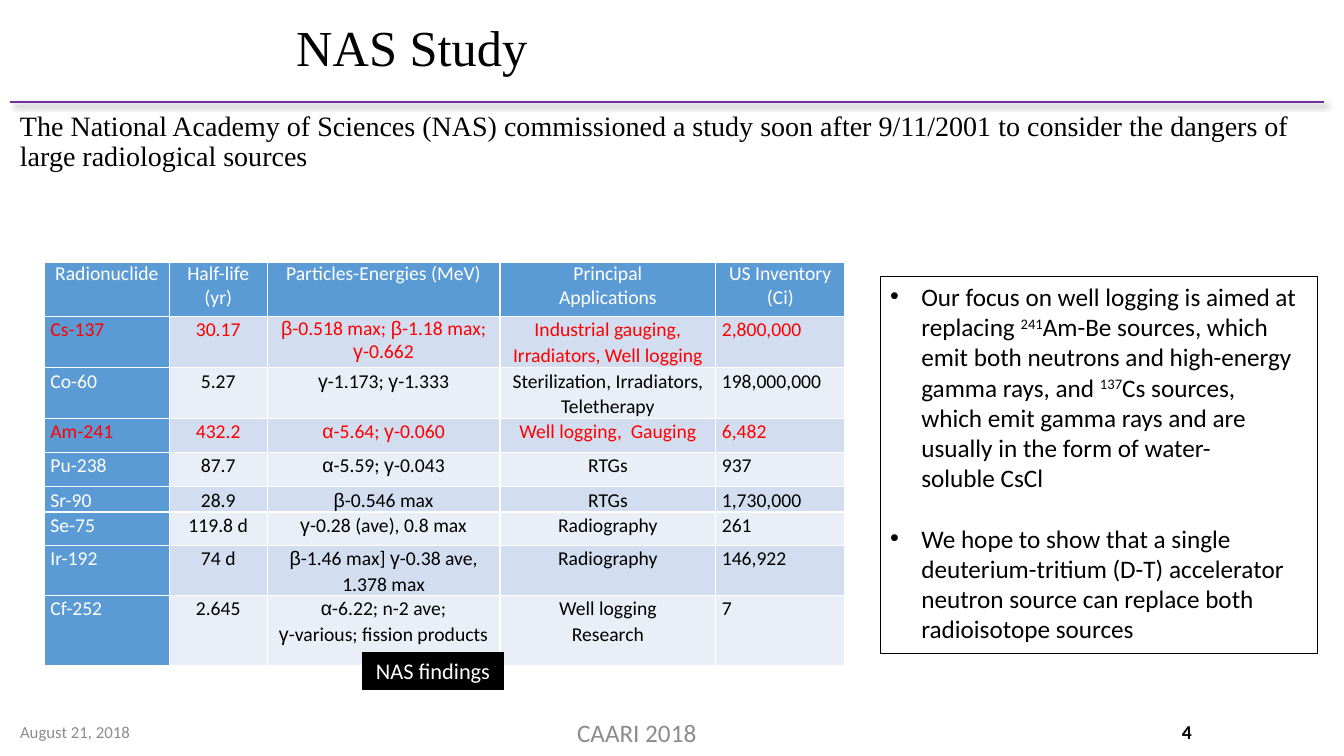
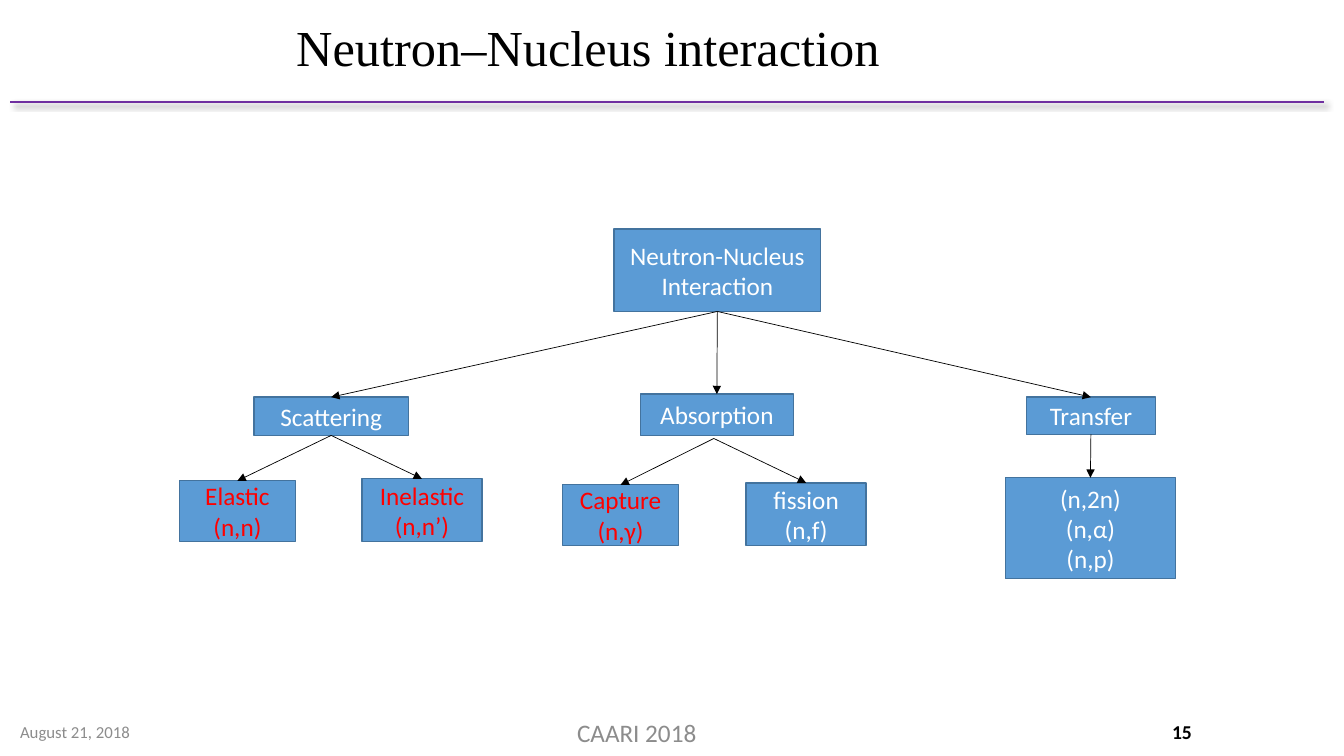
from itertools import groupby

from lxml import etree
from pptx import Presentation
from pptx import util as u
from pptx.dml import color
from pptx.enum import shapes, text
from pptx.oxml import ns

UNIT = 0.1  # grid step in inches: 133.33 columns by 75 rows
BLACK, WHITE, RED, GREY = "000000", "FFFFFF", "FF0000", "8C8C8C"
BLUE, EDGE, RULE = "5B9BD5", "43739E", "7030A0"
BANDS = "D2DEEF", "EAEFF7"
SANS, SERIF, GREEK = "Calibri", "Times New Roman", "Arial"
LEFT, MID, RIGHT = text.PP_ALIGN.LEFT, text.PP_ALIGN.CENTER, text.PP_ALIGN.RIGHT
TOP, CORE = text.MSO_ANCHOR.TOP, text.MSO_ANCHOR.MIDDLE


def grid(*steps):
    return [u.Inches(n * UNIT) for n in steps]


def paint(part, tone):
    """Give a fill a solid colour, or none at all."""
    if tone is None:
        part.background()
    else:
        part.solid()
        part.fore_color.rgb = color.RGBColor.from_string(tone)


def form(part, **marks):
    for name, mark in marks.items():
        setattr(part, name, mark)


def node(root, tag, **marks):
    return etree.SubElement(root, ns.qn(tag), {k: str(v) for k, v in marks.items()})


def write(para, words, size=18, tone=BLACK, font=SANS, bold=False, base=0):
    """Add words to a paragraph; a newline becomes a line break."""
    for i, line in enumerate(words.split("\n")):
        if i:
            para.add_line_break()
        if not line:
            continue
        run = para.add_run()
        run.text = line
        form(run.font, size=u.Pt(size), name=font, bold=bold)
        paint(run.font.fill, tone)
        if base:
            run.font._element.set("baseline", str(base))


def paras(frame, count):
    """Yield the first paragraph of a frame, then new ones up to count."""
    for i in range(count):
        yield frame.add_paragraph() if i else frame.paragraphs[0]


class Deck:
    """Holds the presentation, its shared style and the current slide."""

    def __init__(self):
        self.show = Presentation()
        form(self.show, slide_width=u.Inches(13.33), slide_height=u.Inches(7.5))

    def page(self, title, number):
        self.slide = self.show.slides.add_slide(self.show.slide_layouts[6])
        self.items = self.slide.shapes
        self.rule()
        self.label((28.4, 0.5, 88.3, 8.9), title, size=36, font=SERIF, space=0.9)
        self.label((1, 70.6, 18.2, 4), "August 21, 2018", size=12, tone=GREY)
        self.label((19.2, 70.7, 87.9, 4), "CAARI 2018", align=MID, tone=GREY)
        self.label((107.8, 70.6, 11.4, 4), number, align=RIGHT, size=14, bold=True)

    def line(self, ends, tone, width):
        """Draw a straight line and return it with its effect list."""
        link = self.items.add_connector(shapes.MSO_CONNECTOR.STRAIGHT, *ends)
        paint(link.line.fill, tone)
        link.line.width = u.Pt(width)
        return link, node(link._element.spPr, "a:effectLst")

    def rule(self):
        _, glow = self.line(grid(131.3, 10.1, 1, 10.1), RULE, 1.5)
        shade = node(glow, "a:outerShdw", blurRad=u.Pt(4), dist=u.Pt(3),
                     dir=45 * 60000, algn="tl", rotWithShape=0)
        node(node(shade, "a:srgbClr", val=BLACK), "a:alpha", val=40000)

    def fill(self, frame, words, align=LEFT, anchor=CORE, space=None, **style):
        form(frame, word_wrap=True, vertical_anchor=anchor)
        lines = words.split("\n")
        for para, line in zip(paras(frame, len(lines)), lines):
            form(para, alignment=align, line_spacing=space)
            write(para, line, **style)

    def label(self, place, words, **style):
        self.fill(self.items.add_textbox(*grid(*place)).text_frame, words, **style)

    def box(self, place, tone=BLUE, edge=EDGE, width=1):
        shape = self.items.add_shape(shapes.MSO_SHAPE.RECTANGLE, *grid(*place))
        shape.shadow.inherit = False
        paint(shape.fill, tone)
        paint(shape.line.fill, edge)
        shape.line.width = u.Pt(width)
        return shape

    def block(self, place, words, tone=WHITE):
        shape = self.box(place)
        self.fill(shape.text_frame, words, align=MID, tone=tone)
        return shape

    def points(self, place, items):
        """Draw a framed bullet list; text between carets is raised."""
        frame = self.box(place, None, BLACK, 0.75).text_frame
        form(frame, word_wrap=True, vertical_anchor=TOP)
        for i, (para, item) in enumerate(zip(paras(frame, len(items)), items)):
            para.alignment = LEFT
            if i:
                para.space_before = u.Pt(21.6)
            props = para._p.get_or_add_pPr()
            props.set("marL", str(u.Inches(0.31)))
            props.set("indent", str(-u.Inches(0.31)))
            node(props, "a:buFont", typeface=GREEK)
            node(props, "a:buChar", char="•")
            for k, piece in enumerate(item.split("^")):
                write(para, piece, base=30000 * (k % 2))

    def arrow(self, start, end, shift=(0, 0)):
        """Point from the foot of one box to the head of another."""
        dx, dy = grid(*shift)
        link, _ = self.line((start.left + start.width // 2 + dx,
                             start.top + start.height + dy,
                             end.left + end.width // 2, end.top), BLACK, 0.5)
        node(link.line._get_or_add_ln(), "a:tailEnd", type="triangle")
        if not any(shift):
            link.begin_connect(start, 2)
        link.end_connect(end, 0)

    def table(self, place, cols, rows, data, hot):
        """Draw a banded table; the rows listed in hot have red text."""
        table = self.items.add_table(len(rows), len(cols), *grid(*place)).table
        form(table, first_row=False, horz_banding=False)
        for col, width in zip(table.columns, grid(*cols)):
            col.width = width
        for row, height in zip(table.rows, grid(*rows)):
            row.height = height
        for r, line in enumerate(data):
            for c, words in enumerate(line):
                head = r == 0 or c == 0
                tone = RED if r in hot else WHITE if head else BLACK
                align = LEFT if r and c in (0, len(cols) - 1) else MID
                space = None if r == 0 or (r, c) == (1, 2) else 1.07
                cell = table.cell(r, c)
                paint(cell.fill, BLUE if head else BANDS[(r - 1) % 2])
                self.entry(cell, words, tone, align, space)

    def entry(self, cell, words, tone, align, space):
        side = u.Inches(0.06)
        form(cell, margin_left=side, margin_right=side, margin_top=0,
             margin_bottom=0, vertical_anchor=TOP)
        lines = words.split("\n")
        for para, line in zip(paras(cell.text_frame, len(lines)), lines):
            form(para, alignment=align, line_spacing=space)
            for greek, run in groupby(line, lambda sign: sign in "αβγ"):
                write(para, "".join(run), 14, tone, GREEK if greek else SANS)


SOURCES = [
    ("Radionuclide", "Half-life\n(yr)", "Particles-Energies (MeV)",
     "Principal\nApplications", "US Inventory\n(Ci)"),
    ("Cs-137", "30.17", "β-0.518 max; β-1.18 max; γ-0.662",
     "Industrial gauging,\nIrradiators, Well logging", "2,800,000"),
    ("Co-60", "5.27", "γ-1.173; γ-1.333",
     "Sterilization, Irradiators, Teletherapy", "198,000,000"),
    ("Am-241", "432.2", "α-5.64; γ-0.060", "Well logging,  Gauging", "6,482"),
    ("Pu-238", "87.7", "α-5.59; γ-0.043", "RTGs", "937"),
    ("Sr-90", "28.9", "β-0.546 max", "RTGs", "1,730,000"),
    ("Se-75", "119.8 d", "γ-0.28 (ave), 0.8 max", "Radiography", "261"),
    ("Ir-192", "74 d", "β-1.46 max] γ-0.38 ave, 1.378 max", "Radiography", "146,922"),
    ("Cf-252", "2.645", "α-6.22; n-2 ave;\nγ-various; fission products",
     "Well logging\nResearch", "7"),
]
GOALS = [
    "Our focus on well logging is aimed at\nreplacing ^241^Am-Be sources, which\n"
    "emit both neutrons and high-energy\ngamma rays, and ^137^Cs sources,\n"
    "which emit gamma rays and are\nusually in the form of water-\nsoluble CsCl",
    "We hope to show that a single\ndeuterium-tritium (D-T) accelerator\n"
    "neutron source can replace both\nradioisotope sources",
]
# Each branch: place, name, shift of its arrows, leaves (place, name, colour)
TREE = [
    ((25.2, 39.4, 15.3, 3.8), "Scattering", (0, 0),
     [((17.8, 47.7, 11.5, 6), "Elastic\n(n,n)", RED),
      ((35.9, 47.5, 11.9, 6.2), "Inelastic\n(n,n’)", RED)]),
    ((63.5, 39.1, 15.2, 4.1), "Absorption", (-0.3, 0.3),
     [((55.8, 48.1, 11.5, 6), "Capture\n(n,γ)", RED),
      ((74, 47.9, 11.9, 6.2), "fission\n(n,f)", WHITE)]),
    ((101.8, 39.4, 12.8, 3.7), "Transfer", (0, 0),
     [((99.7, 47.4, 16.9, 10), "(n,2n)\n(n,α)\n(n,p)", WHITE)]),
]


def study(deck):
    deck.page("NAS Study", "4")
    deck.label((1, 10.6, 130.3, 56.9),
               "The National Academy of Sciences (NAS) commissioned a study soon after "
               "9/11/2001 to consider the dangers of large radiological sources",
               anchor=TOP, size=20, font=SERIF, space=0.9)
    deck.table((4.4, 26, 79.4, 40), (12.4, 9.7, 23.1, 21.4, 12.8),
               (5.4, 5.1, 5, 3.4, 3.4, 2.5, 3.3, 5, 6.9), SOURCES, hot=(1, 3))
    deck.points((87.3, 27.4, 43.4, 37.4), GOALS)
    badge = deck.box((36, 64.7, 13.9, 3.7), BLACK, BLACK, 0.75)
    deck.fill(badge.text_frame, "NAS findings", align=MID, anchor=TOP,
              size=16, tone=WHITE)


def nucleus(deck):
    deck.page("Neutron–Nucleus interaction", "15")
    root = deck.block((60.9, 22.7, 20.5, 8.2), "Neutron-Nucleus Interaction")
    for place, name, shift, leaves in TREE:
        branch = deck.block(place, name)
        deck.arrow(root, branch)
        for spot, words, tone in leaves:
            deck.arrow(branch, deck.block(spot, words, tone), shift)


def main():
    deck = Deck()
    study(deck)
    nucleus(deck)
    deck.show.save("out.pptx")


if __name__ == "__main__":
    main()
